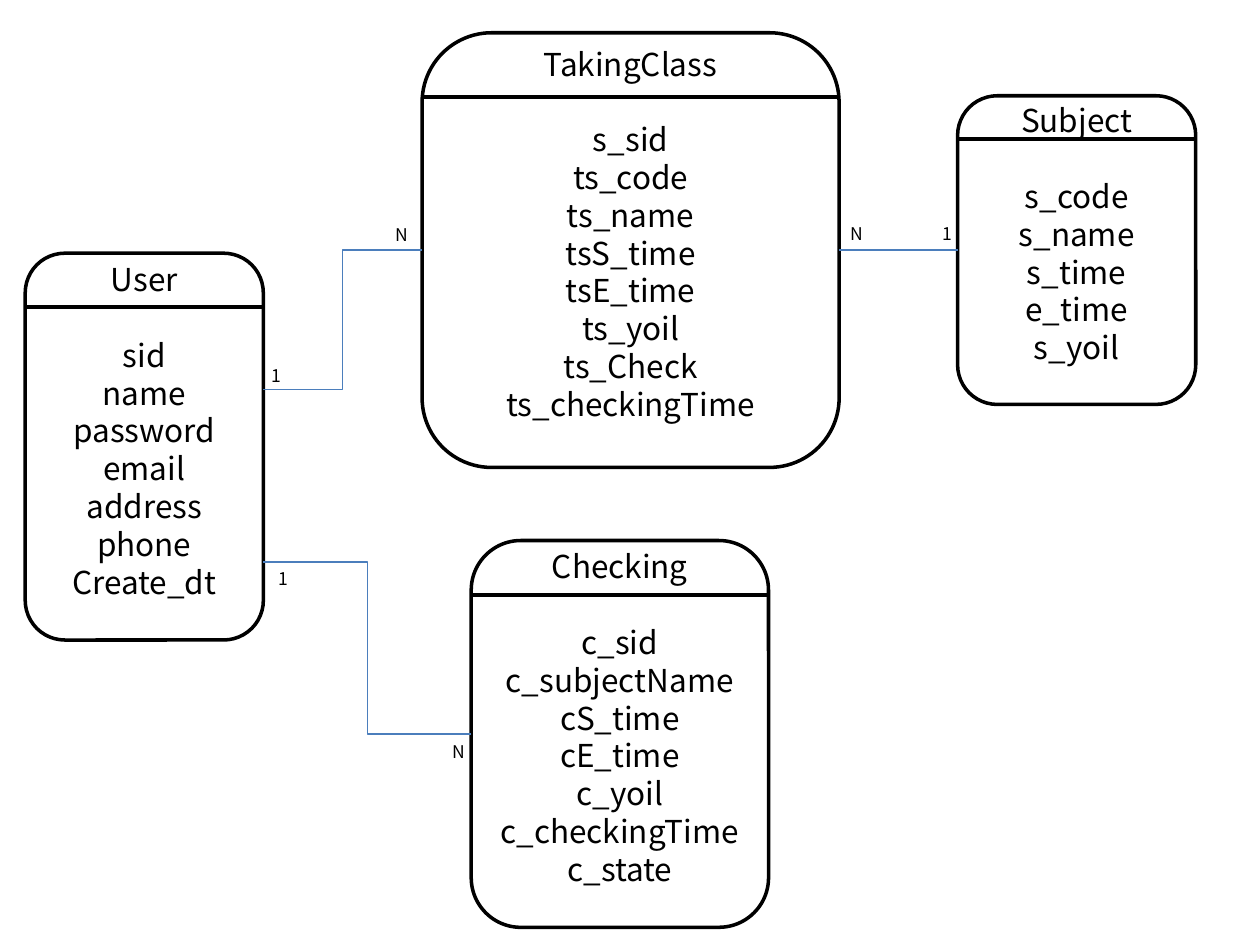
from lxml import etree
from pptx import Presentation
from pptx.dml.color import RGBColor
from pptx.oxml.ns import qn
from pptx.util import Inches, Pt
from pptx.enum import shapes, text

COLORS = {"ink": "000000", "paper": "FFFFFF", "relation": "4B7EBC"}
LEFT_SIDE, RIGHT_SIDE = 1, 3


def write(frame, lines, size=18, color="ink", font="Noto Sans CJK KR",
          align=text.PP_ALIGN.CENTER, heading_gap=0):
    """Write one paragraph per line; heading_gap follows the first line."""
    for i, line in enumerate(lines):
        paragraph = frame.paragraphs[0] if i == 0 else frame.add_paragraph()
        paragraph.alignment = align
        paragraph.line_spacing = Pt(size * 1.2)
        if i == 1:
            paragraph.space_before = Pt(heading_gap)
        run = paragraph.add_run()
        run.text = line
        run.font.size = Pt(size)
        run.font.name = font
        run.font.color.rgb = RGBColor.from_string(COLORS[color])


class Diagram:
    def __init__(self, slide):
        self.slide = slide

    def connector(self, kind, start, end, color, width):
        line = self.slide.shapes.add_connector(
            kind, *(Inches(v) for v in (*start, *end)))
        line.line.color.rgb = RGBColor.from_string(COLORS[color])
        line.line.width = Pt(width)
        etree.SubElement(line._element.spPr, qn("a:effectLst"))
        return line

    def entity(self, name, fields, left, top, width, height, divider):
        box = self.slide.shapes.add_shape(
            shapes.MSO_SHAPE.ROUNDED_RECTANGLE,
            *(Inches(v) for v in (left, top, width, height)))
        box.shadow.inherit = False
        box.fill.solid()
        box.fill.fore_color.rgb = RGBColor.from_string(COLORS["paper"])
        box.line.color.rgb = RGBColor.from_string(COLORS["ink"])
        box.line.width = Pt(2)
        frame = box.text_frame
        frame.word_wrap = True
        frame.vertical_anchor = text.MSO_ANCHOR.MIDDLE
        # The bottom margin keeps one line free under the fields
        frame.margin_top, frame.margin_bottom = Inches(0.07), Inches(0.33)
        write(frame, [name, *fields], heading_gap=21.6)
        self.connector(shapes.MSO_CONNECTOR.STRAIGHT, (left, divider),
                       (left + width, divider), "ink", 2.25)
        return box

    def relation(self, start, end, target, source=None):
        line = self.connector(shapes.MSO_CONNECTOR.ELBOW, start, end,
                              "relation", 0.75)
        if source is not None:
            line.begin_connect(source, RIGHT_SIDE)
        line.end_connect(target, LEFT_SIDE)

    def cardinality(self, label, left, top):
        box = self.slide.shapes.add_textbox(
            Inches(left), Inches(top), Inches(0.27), Inches(0.27))
        box.text_frame.word_wrap = True
        box.text_frame.margin_right = 0
        write(box.text_frame, [label], size=10, align=text.PP_ALIGN.LEFT)


def main():
    prs = Presentation()
    prs.slide_width, prs.slide_height = Inches(10), Inches(7.5)
    diagram = Diagram(prs.slides.add_slide(prs.slide_layouts[6]))

    # Entities
    diagram.entity(
        "User", ["sid", "name", "password", "email", "address", "phone", "Create_dt"],
        0.2, 2.01, 1.89, 3.07, divider=2.44)
    taking_class = diagram.entity(
        "TakingClass", ["s_sid", "ts_code", "ts_name", "tsS_time", "tsE_time",
                        "ts_yoil", "ts_Check", "ts_checkingTime"],
        3.35, 0.26, 3.31, 3.45, divider=0.77)
    subject = diagram.entity(
        "Subject", ["s_code", "s_name", "s_time", "e_time", "s_yoil"],
        7.6, 0.76, 1.89, 2.45, divider=1.1)
    checking = diagram.entity(
        "Checking", ["c_sid", "c_subjectName", "cS_time", "cE_time", "c_yoil",
                     "c_checkingTime", "c_state"],
        3.74, 4.29, 2.36, 3.07, divider=4.72)

    # Relations
    diagram.relation((2.09, 4.46), (3.74, 5.83), checking)
    diagram.relation((2.09, 3.09), (3.35, 1.98), taking_class)
    diagram.relation((6.66, 1.98), (7.6, 1.98), subject, source=taking_class)

    # Cardinalities
    for label, left, top in [("1", 2.06, 2.85), ("1", 2.11, 4.46),
                             ("N", 3.04, 1.73), ("N", 3.49, 5.83),
                             ("1", 7.38, 1.72), ("N", 6.65, 1.72)]:
        diagram.cardinality(label, left, top)

    prs.save("out.pptx")


if __name__ == "__main__":
    main()
